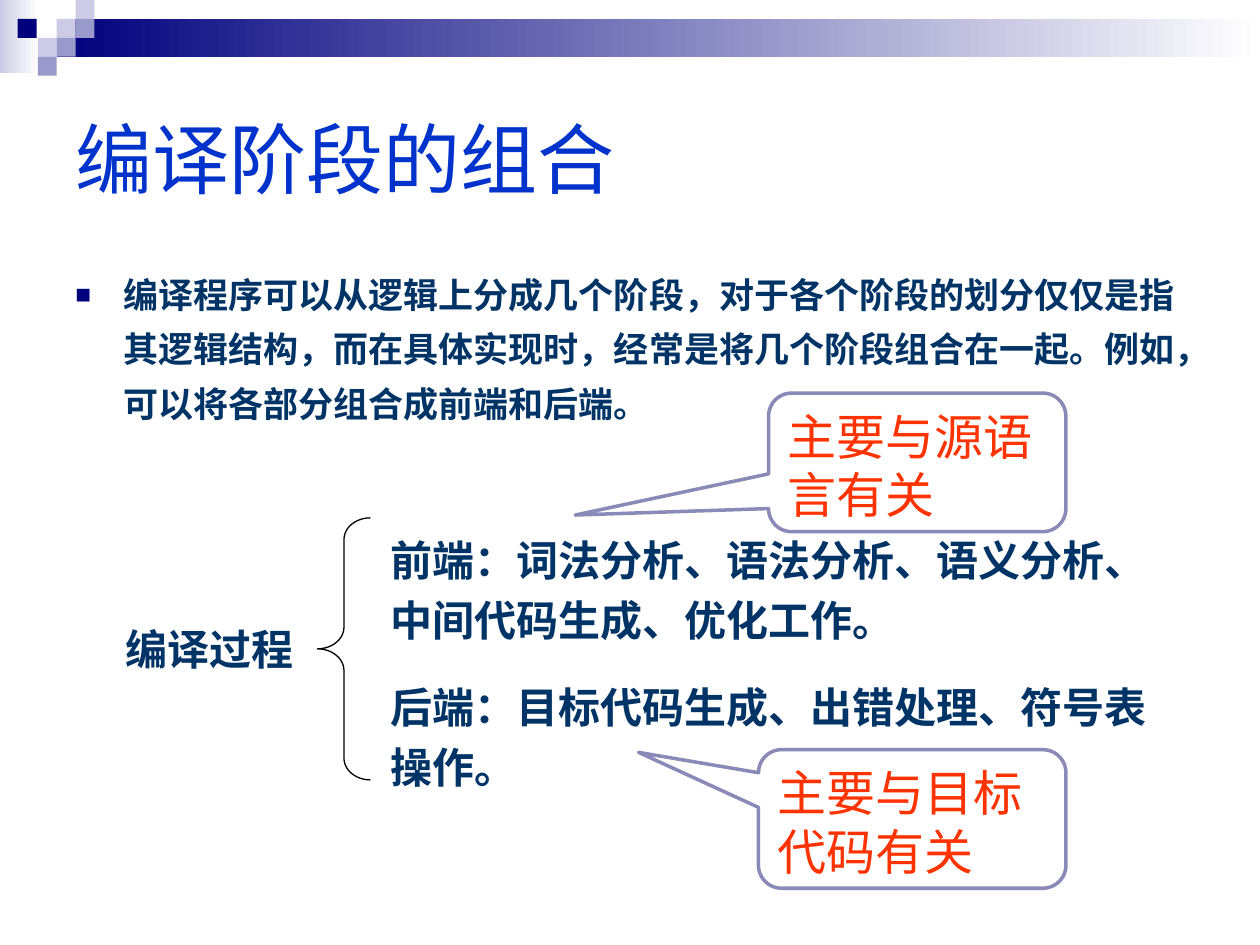
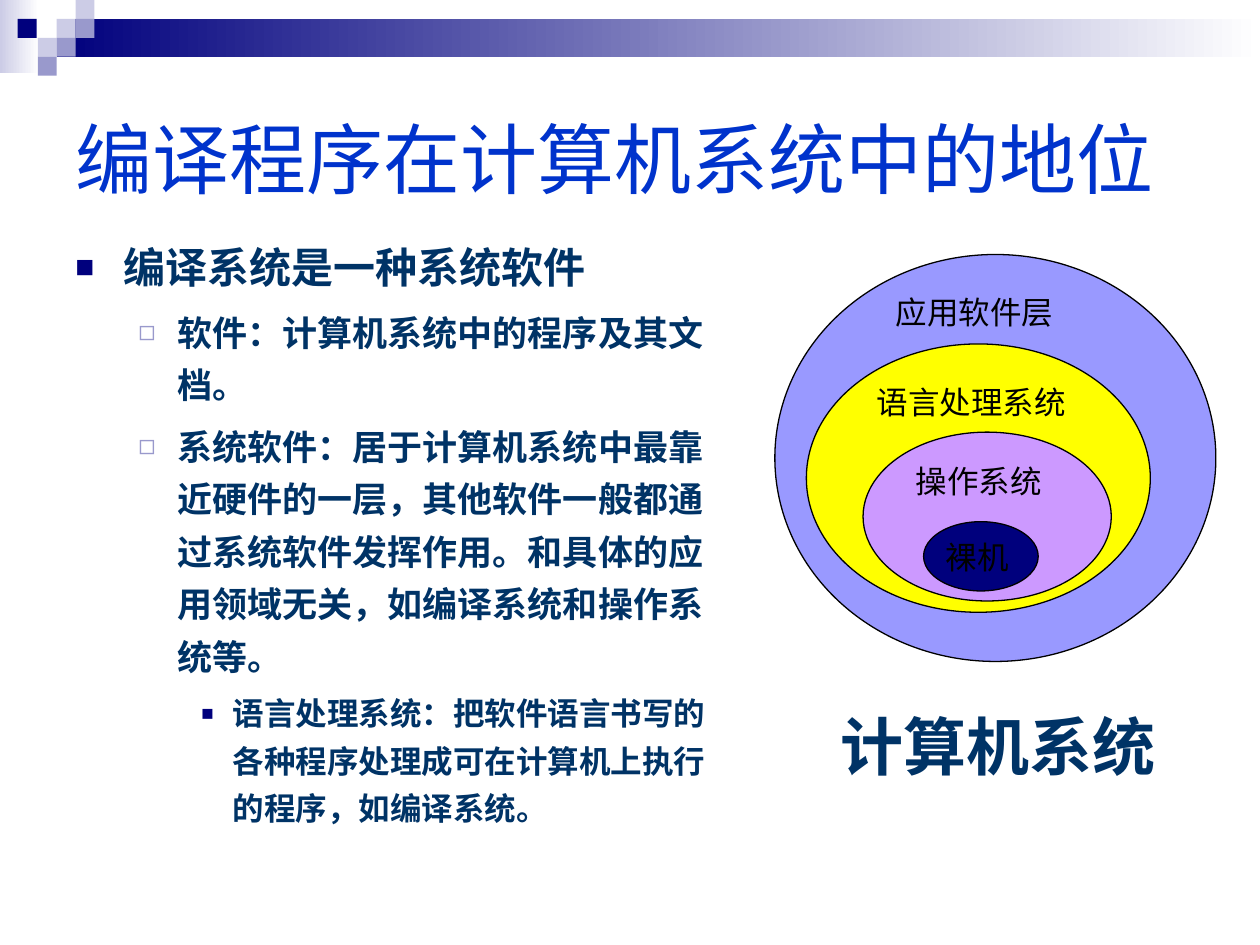
from pptx import Presentation
from pptx.dml.color import RGBColor
from pptx.enum.lang import MSO_LANGUAGE_ID
from pptx.enum.shapes import MSO_SHAPE
from pptx.enum.text import MSO_ANCHOR, PP_ALIGN
from pptx.oxml.ns import qn
from pptx.util import Inches, Pt
from lxml.etree import SubElement

prs = Presentation()
prs.slide_width, prs.slide_height = Inches(10), Inches(7.5)
col, row = prs.slide_width / 100, prs.slide_height / 75
rgb = RGBColor.from_string

NAVY, LILAC, PALE, WHITE = "00007D", "9999CC", "CCCCE6", "FFFFFF"
BLACK, TEXT, TITLE, NOTE = "000000", "003366", "0033CC", "FF3300"
SC = "Noto Sans CJK SC"
BULLETS = [("■", NAVY, 75, 0.38, 0.38), ("◻", LILAC, 80, 0.81, 0.31), ("■", NAVY, 65, 1.25, 0.25)]


def draw(s, kind, at, fill=None, line=None, width=0.75, fade=False):
    x, y, w, h = at
    box = [int(x * col), int(y * row), int(w * col), int(h * row)]
    if kind is None:
        return s.shapes.add_textbox(*box)
    sp = s.shapes.add_shape(kind, *box)
    sp.shadow.inherit = False
    if fade:
        sp.fill.gradient()
        sp.fill.gradient_angle = 0
        for stop, c in zip(sp.fill.gradient_stops, (fill, WHITE)):
            stop.color.rgb = rgb(c)
    elif fill:
        sp.fill.solid()
        sp.fill.fore_color.rgb = rgb(fill)
    else:
        sp.fill.background()
    if line:
        sp.line.color.rgb = rgb(line)
        sp.line.width = Pt(width)
    else:
        sp.line.fill.background()
    return sp


def write(sp, paras, size, color, font="Arial", bold=False, spacing=None, before=0,
          anchor=MSO_ANCHOR.TOP, wrap=True, level=None):
    tf = sp.text_frame
    tf.word_wrap, tf.vertical_anchor = wrap, anchor
    for text in paras:
        first = not tf.paragraphs[0].runs
        p = tf.paragraphs[0] if first else tf.add_paragraph()
        p.alignment = PP_ALIGN.LEFT
        if level is not None:
            char, tint, share, left, hang = BULLETS[level]
            p.level = level
            pPr = p._p.get_or_add_pPr()
            pPr.set("marL", str(Inches(left)))
            pPr.set("indent", str(-Inches(hang)))
            SubElement(SubElement(pPr, qn("a:buClr")), qn("a:srgbClr"), val=tint)
            SubElement(pPr, qn("a:buSzPct"), val=str(share * 1000))
            SubElement(pPr, qn("a:buFont"), typeface="Arial")
            SubElement(pPr, qn("a:buChar"), char=char)
        if spacing:
            p.line_spacing = spacing
        p.space_before = Pt(0 if first else before)
        r = p.add_run()
        r.text = text
        r.font.size, r.font.bold, r.font.name = Pt(size), bold, font
        r.font.color.rgb = rgb(color)
        r.font.language_id = MSO_LANGUAGE_ID.SIMPLIFIED_CHINESE
        SubElement(r._r.get_or_add_rPr(), qn("a:ea"), typeface="Lato")


slides = []
for title, font in [("编译阶段的组合", "Noto Sans CJK JP"), ("编译程序在计算机系统中的地位", "Arial")]:
    s = prs.slides.add_slide(prs.slide_layouts[5])
    s.background.fill.solid()
    s.background.fill.fore_color.rgb = rgb(WHITE)
    draw(s, MSO_SHAPE.RECTANGLE, (0, 0, 3.1, 5.8), PALE, fade=True)
    draw(s, MSO_SHAPE.RECTANGLE, (4.5, 1.5, 95.5, 3), NAVY, fade=True)
    for x, y, c in [(4.5, 1.5, PALE), (6, 0, PALE), (6, 1.5, LILAC), (3, 3, PALE),
                    (1.4, 1.5, NAVY), (4.5, 3, LILAC), (3, 4.5, LILAC)]:
        draw(s, MSO_SHAPE.RECTANGLE, (x, y, 1.5, 1.5), c)
    sp = s.shapes.title
    sp.left, sp.top, sp.width, sp.height = int(5 * col), int(5 * row), int(90 * col), int(15 * row)
    write(sp, [title], 44, TITLE, font, anchor=MSO_ANCHOR.MIDDLE)
    slides.append(s)

s = slides[0]
sp = draw(s, None, (5, 20.2, 90, 15))
write(sp, ["编译程序可以从逻辑上分成几个阶段，对于各个阶段的划分仅仅是指其逻辑结构，而在具体实现时，"
           "经常是将几个阶段组合在一起。例如，可以将各部分组合成前端和后端。"],
      20, TEXT, bold=True, spacing=1.3, level=0)
sp = draw(s, None, (9, 49, 17.3, 5))
write(sp, ["编译过程"], 24, TEXT, SC, True)
sp = draw(s, None, (30, 41.1, 63.3, 22.3))
write(sp, ["前端：词法分析、语法分析、语义分析、中间代码生成、优化工作。",
           "后端：目标代码生成、出错处理、符号表操作。"], 24, TEXT, SC, True, 1.2, 15)
sp = draw(s, MSO_SHAPE.LEFT_BRACE, (25.2, 41.1, 4.2, 20.8), line=BLACK)
sp.adjustments[0] = 0.41
for text, at, tip in [("主要与源语言有关", (61, 31.2, 23.6, 11), (-1.15, 0.38)),
                      ("主要与目标代码有关", (60.2, 59.5, 24.4, 11), (-0.89, -0.48))]:
    sp = draw(s, MSO_SHAPE.ROUNDED_RECTANGULAR_CALLOUT, at, WHITE, "8A8AB9", 2)
    sp.adjustments[0], sp.adjustments[1] = tip
    write(sp, [text], 28, NOTE, "Lato")

s = slides[1]
sp = draw(s, None, (5, 17.7, 54.4, 52.9))
for level, size, before, paras in [
    (0, 24, 6, ["编译系统是一种系统软件"]),
    (1, 20, 5, ["软件：计算机系统中的程序及其文档。",
                "系统软件：居于计算机系统中最靠近硬件的一层，其他软件一般都通过系统软件发挥作用。"
                "和具体的应用领域无关，如编译系统和操作系统等。"]),
    (2, 18, 4.5, ["语言处理系统：把软件语言书写的各种程序处理成可在计算机上执行的程序，如编译系统。"]),
]:
    write(sp, paras, size, TEXT, bold=True, spacing=1.25, before=before, level=level)

for text, oval, fill, label in [
    ("应用软件层", (61.5, 20.2, 35, 32.3), "9999FF", (70.1, 22.8, 14.5, 4)),
    ("语言处理系统", (64, 27.3, 27.3, 21.3), "FFFF00", (68.6, 29.9, 17, 4)),
    ("操作系统", (68.5, 34.3, 19.7, 13.4), "CC99FF", (71.7, 36.2, 12, 4)),
    ("裸机", (73.3, 41.4, 9.1, 5.5), NAVY, (74.1, 42.2, 7, 4)),
]:
    draw(s, MSO_SHAPE.OVAL, oval, fill, BLACK)
    write(draw(s, None, label), [text], 18, BLACK, wrap=False)
write(draw(s, None, (65.7, 55.7, 29.9, 7)), ["计算机系统"], 36, TEXT, bold=True)

prs.save("out.pptx")
